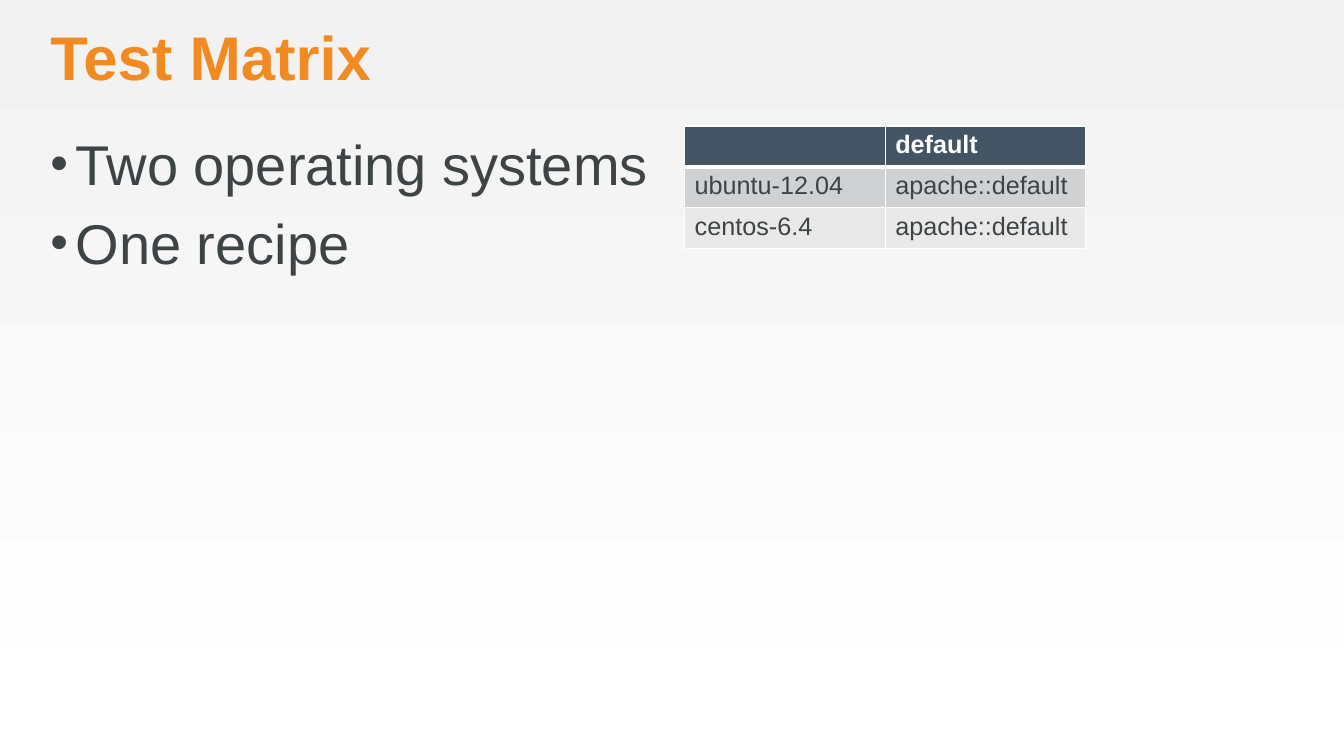
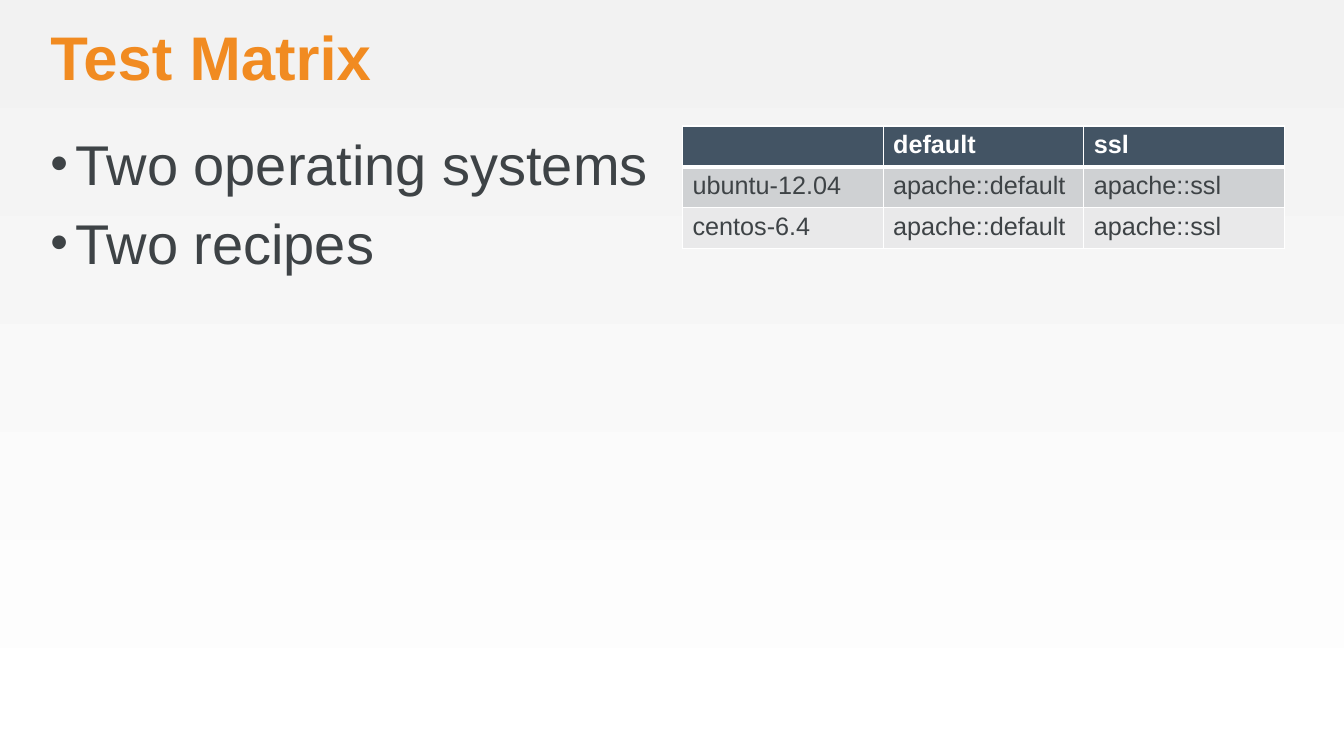
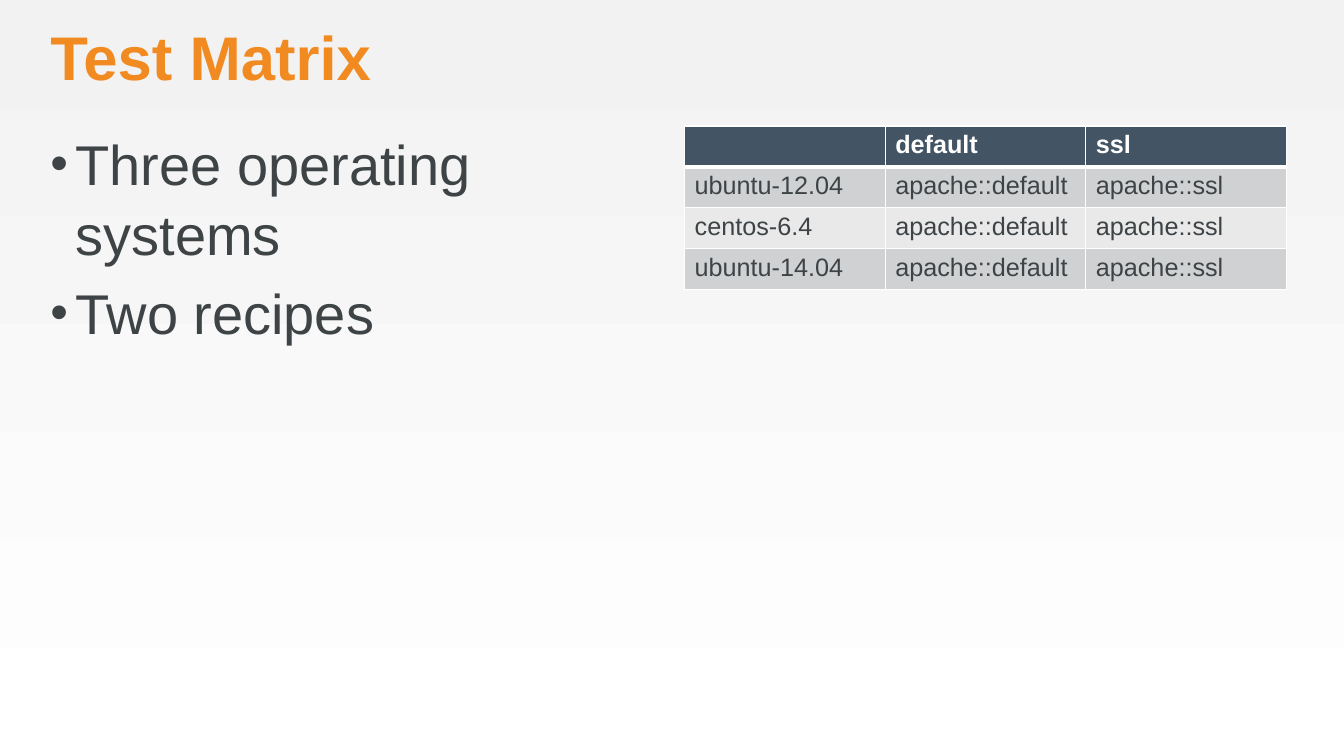
"""Build three test matrix slides, each with a short list and a table."""
from lxml.etree import SubElement
from pptx import Presentation
from pptx.dml.color import RGBColor
from pptx.enum.text import MSO_ANCHOR, MSO_AUTO_SIZE
from pptx.oxml.ns import qn
from pptx.util import Pt

ORANGE, INK, NAVY, WHITE = "F18B21", "3E4346", "435464", "FFFFFF"
BANDS = ["E9E9EA", "CFD1D3"]
BACKGROUND = ["F2F2F2", WHITE]
COLUMN_WIDTH, ROW_HEIGHT = 143.3, 29.2
RECIPES = {"default": "apache::default", "ssl": "apache::ssl"}

MATRICES = [
    (["Two operating systems", "One recipe"], 489,
     ["ubuntu-12.04", "centos-6.4"], ["default"]),
    (["Two operating systems", "Two recipes"], 487.5,
     ["ubuntu-12.04", "centos-6.4"], ["default", "ssl"]),
    (["Three operating systems", "Two recipes"], 489,
     ["ubuntu-12.04", "centos-6.4", "ubuntu-14.04"], ["default", "ssl"]),
]


def style(paragraph, size, color, bold=False):
    font = paragraph.font
    font.name, font.size, font.bold = "Arial", Pt(size), bold
    font.color.rgb = RGBColor.from_string(color)


def place(holder, left, top, width, height, anchor):
    holder.left, holder.top = Pt(left), Pt(top)
    holder.width, holder.height = Pt(width), Pt(height)
    frame = holder.text_frame
    frame.margin_left = frame.margin_top = frame.margin_right = frame.margin_bottom = 0
    frame.vertical_anchor, frame.auto_size, frame.word_wrap = anchor, MSO_AUTO_SIZE.NONE, True
    return frame


deck = Presentation()
deck.slide_width, deck.slide_height = Pt(960), Pt(540)
backdrop = deck.slide_master.background.fill
backdrop.gradient()
backdrop.gradient_angle = 270
for stop, color in zip(backdrop.gradient_stops, BACKGROUND):
    stop.color.rgb = RGBColor.from_string(color)

for points, matrix_left, systems, suites in MATRICES:
    slide = deck.slides.add_slide(deck.slide_layouts[1])

    heading = place(slide.shapes.title, 36, 18, 882, 49, MSO_ANCHOR.BOTTOM)
    heading.text = "Test Matrix"
    heading.paragraphs[0].line_spacing = 0.9
    heading.paragraphs[0].alignment = 1
    style(heading.paragraphs[0], 44, ORANGE, True)

    summary = place(slide.placeholders[1], 36, 90, 432, 414, MSO_ANCHOR.TOP)
    summary.text = "\n".join(points)
    for index, point in enumerate(summary.paragraphs):
        properties = point._p.get_or_add_pPr()
        properties.set("marL", str(Pt(18)))
        properties.set("indent", str(-Pt(18)))
        SubElement(properties, qn("a:buSzPct"), val="90000")
        SubElement(properties, qn("a:buFont"), typeface="Arial")
        SubElement(properties, qn("a:buChar"), char="•")
        point.line_spacing = 1.05
        point.space_before = Pt(6 if index else 0)
        style(point, 40, INK)

    rows = [["", *suites]]
    rows += [[system, *(RECIPES[suite] for suite in suites)] for system in systems]
    matrix = slide.shapes.add_table(
        len(rows), len(rows[0]), Pt(matrix_left), Pt(90),
        Pt(COLUMN_WIDTH * len(rows[0])), Pt(ROW_HEIGHT * len(rows))).table
    for column in matrix.columns:
        column.width = Pt(COLUMN_WIDTH)
    for row_index, values in enumerate(rows):
        matrix.rows[row_index].height = Pt(ROW_HEIGHT)
        header = row_index == 0
        for column_index, value in enumerate(values):
            cell = matrix.cell(row_index, column_index)
            cell.text = value
            style(cell.text_frame.paragraphs[0], 18, WHITE if header else INK, header)
            for side in "LRTB":
                thick = (row_index, side) in [(0, "B"), (1, "T")]
                border = SubElement(cell._tc.get_or_add_tcPr(), qn(f"a:ln{side}"),
                                    w=str(Pt(3 if thick else 1)))
                SubElement(SubElement(border, qn("a:solidFill")), qn("a:srgbClr"), val=WHITE)
            cell.fill.solid()
            cell.fill.fore_color.rgb = RGBColor.from_string(
                NAVY if header else BANDS[row_index % 2])

deck.save("out.pptx")
